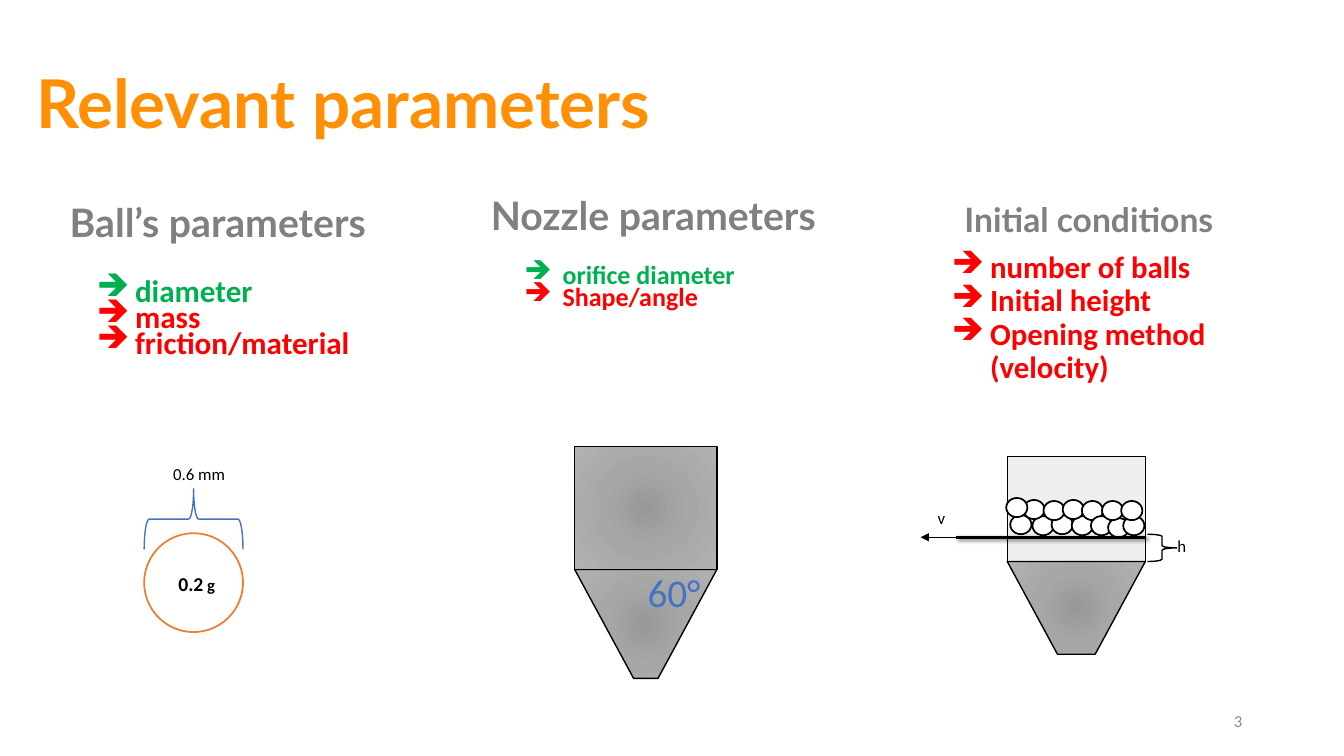
from dataclasses import dataclass

from lxml import etree
from pptx import Presentation
from pptx.dml.color import RGBColor
from pptx.enum.dml import MSO_THEME_COLOR
from pptx.enum.shapes import MSO_CONNECTOR, MSO_SHAPE
from pptx.enum.text import MSO_ANCHOR, MSO_AUTO_SIZE, PP_ALIGN
from pptx.oxml import parse_xml
from pptx.oxml.ns import qn
from pptx.util import Emu, Pt

PX = 9144
NS = 'xmlns:a="http://schemas.openxmlformats.org/drawingml/2006/main"'
LEFT, CENTER, RIGHT = PP_ALIGN.LEFT, PP_ALIGN.CENTER, PP_ALIGN.RIGHT
TOP, MIDDLE, BOTTOM = MSO_ANCHOR.TOP, MSO_ANCHOR.MIDDLE, MSO_ANCHOR.BOTTOM
RECT, OVAL = MSO_SHAPE.RECTANGLE, MSO_SHAPE.OVAL
TRAP, BRACE = MSO_SHAPE.TRAPEZOID, MSO_SHAPE.LEFT_BRACE
STRAIGHT = MSO_CONNECTOR.STRAIGHT
NO_FIT = MSO_AUTO_SIZE.NONE


@dataclass(frozen=True)
class Theme:
    """Colours, fonts and type sizes of the slide."""
    title: str = "FF8F04"
    head: str = "808080"
    page: str = "8C8C8C"
    good: str = "00B050"
    bad: str = "FF0000"
    ink: str = "000000"
    paper: str = "FFFFFF"
    ball: str = "ED7D31"
    blue: str = "4472C4"
    glass: str = "D8D8D8"
    metal: tuple = ((0, "989898"), (45, "A7A7A7"), (100, "B1B1B1"))
    show: str = "Lato"
    body: str = "Calibri"
    big: float = 48
    mid: float = 28
    label: float = 12
    mass: float = 14


T = Theme()

COLUMNS = [
    ((34, 183), "Ball’s parameters", 28, (84, 274, 264, 108), 22.2, 0.7,
     [("diameter", T.good), ("mass", T.bad), ("friction/material", T.bad)]),
    ((466, 176), "Nozzle parameters", 28, (508, 260, 264, 81), 18.6, 0.7,
     [("orifice diameter", T.good), ("Shape/angle", T.bad)]),
    ((898, 179), "Initial conditions", 24, (932, 245, 360, 102), 22, 0.9,
     [("number of balls", T.bad), ("Initial height", T.bad),
      ("Opening method (velocity)", T.bad)]),
]

BALLS = [(4, 58), (26, 59), (45, 58), (65, 59), (17, 43), (37, 44), (56, 43),
         (75, 44), (84, 59), (101, 61), (0, 41), (95, 44), (116, 59), (114, 44)]


def put(item, vals):
    """Set each named value on the item."""
    for name, val in vals.items():
        setattr(item, name, val)


def span(*lens):
    """Turn px lengths into EMU."""
    return [Emu(n * PX) for n in lens]


def write(frame, paras, align=LEFT, anchor=TOP, pad=10, space=None):
    """Fill a frame with paragraphs of (text, size, colour, bold, font) runs."""
    side, rim = span(pad, 5)
    put(frame, dict(word_wrap=True, auto_size=NO_FIT, vertical_anchor=anchor,
                    margin_left=side, margin_right=side,
                    margin_top=rim, margin_bottom=rim))
    for num, runs in enumerate(paras):
        para = frame.add_paragraph() if num else frame.paragraphs[0]
        put(para, dict(alignment=align, line_spacing=space))
        for words, size, tint, bold, face in runs:
            run = para.add_run()
            run.text = words
            put(run.font, dict(size=Pt(size), bold=bold, name=face))
            run.font.color.rgb = RGBColor.from_string(tint)


def text(slide, box, paras, **look):
    """Add a text box and return its frame."""
    frame = slide.shapes.add_textbox(*span(*box)).text_frame
    write(frame, paras, **look)
    return frame


def note(slide, box, words, align=LEFT):
    """Add a small label."""
    text(slide, box, [[(words, T.label, T.ink, False, T.body)]], align=align)


def shape(slide, kind, box, fill=None, line=T.ink, width=1.0, turn=0, adj=()):
    """Add a preset shape with plain fill and outline."""
    item = slide.shapes.add_shape(kind, *span(*box))
    item.shadow.inherit = False
    item.rotation = turn
    for num, val in enumerate(adj):
        item.adjustments[num] = val
    if fill:
        item.fill.solid()
        item.fill.fore_color.rgb = RGBColor.from_string(fill)
    else:
        item.fill.background()
    item.line.color.rgb = RGBColor.from_string(line)
    item.line.width = Pt(width)
    return item


def steel(item):
    """Give a shape a radial metal fill."""
    stops = "".join(f'<a:gs pos="{pos * 1000}"><a:srgbClr val="{tint}"/></a:gs>'
                    for pos, tint in T.metal)
    grad = parse_xml(
        f'<a:gradFill {NS} rotWithShape="1"><a:gsLst>{stops}</a:gsLst>'
        '<a:path path="circle"><a:fillToRect l="50000" t="50000" r="50000" '
        'b="50000"/></a:path></a:gradFill>')
    props = item.fill._xPr
    props.replace(props.find(qn("a:noFill")), grad)


def cone(slide, box):
    """Add a metal funnel that narrows downwards."""
    steel(shape(slide, TRAP, box, turn=180, adj=[0.541]))


def rod(slide, start, end, width, effect=""):
    """Add a straight black line with an optional effect."""
    item = slide.shapes.add_connector(STRAIGHT, *span(*start, *end))
    item.line.color.rgb = RGBColor.from_string(T.ink)
    item.line.width = Pt(width)
    item._element.spPr.append(
        parse_xml(f"<a:effectLst {NS}>{effect}</a:effectLst>"))
    return item


def column(slide, spot, head, size, box, small, space, items):
    """Add a heading and its arrow list."""
    text(slide, (*spot, 364, 81), [[(head, size, T.head, True, T.show)]],
         align=CENTER, anchor=MIDDLE, pad=0, space=0.9)
    frame = text(slide, box, [[(words, small, tint, True, T.body)]
                              for words, tint in items], pad=0, space=space)
    for para, (_, tint) in zip(frame.paragraphs, items):
        props = para._p.get_or_add_pPr()
        props.set("marL", str(50 * PX))
        props.set("indent", str(-38 * PX))
        shade = etree.SubElement(props, qn("a:buClr"))
        etree.SubElement(shade, qn("a:srgbClr")).set("val", tint)
        etree.SubElement(props, qn("a:buChar")).set("char", "➔")


def ball(slide, x, y):
    """Draw the ball with its width and mass."""
    shape(slide, OVAL, (x, y + 74, 98, 98), T.paper, T.ball, 1.25)
    shape(slide, BRACE, (x + 19, y + 11, 60, 98), line=T.blue, turn=90,
          adj=[0.083, 0.5])
    note(slide, (x + 11, y, 87, 30), "0.6 mm", CENTER)
    text(slide, (x + 24, y + 107, 95, 34),
         [[("0.2", T.mass, T.ink, True, T.body),
           (" g", T.label, T.ink, True, T.body)]])


def nozzle(slide, x, y):
    """Draw the nozzle with its angle."""
    cone(slide, (x, y + 122, 141, 108))
    steel(shape(slide, RECT, (x, y, 141, 122)))
    text(slide, (x + 57, y + 116, 83, 67),
         [[("60°", T.mid, T.blue, False, T.body)]], align=CENTER)


def hopper(slide, x, y):
    """Draw the filled hopper with its sliding gate."""
    tank = shape(slide, RECT, (x, y, 137, 104), T.glass)
    tint = tank.fill._xPr.find(qn("a:solidFill"))[0]
    etree.SubElement(tint, qn("a:alpha")).set("val", "39000")
    cone(slide, (x, y + 104, 137, 92))
    for dx, dy in BALLS:
        shape(slide, OVAL, (x - 1 + dx, y + dy, 21, 19), T.paper, width=1.25)
    gate = y + 80
    rod(slide, (x + 138, gate), (x - 51, gate), 2,
        '<a:outerShdw blurRad="38100" dist="25400" dir="2700000">'
        '<a:srgbClr val="000000"><a:alpha val="60000"/></a:srgbClr>'
        '</a:outerShdw>')
    pull = rod(slide, (x - 51, gate), (x - 86, gate), 1)
    etree.SubElement(pull.line._ln, qn("a:tailEnd")).set("type", "triangle")
    note(slide, (x - 79, y + 46, 145, 30), "v")
    shape(slide, BRACE, (x + 139, y + 77, 29, 27), turn=180, adj=[0.083, 0.5])
    note(slide, (x + 159, y + 74, 32, 30), "h")


def main():
    """Build and save the slide."""
    deck = Presentation()
    deck.slide_width, deck.slide_height = span(1333, 750)
    slide = deck.slides.add_slide(deck.slide_layouts[5])
    slide.background.fill.solid()
    slide.background.fill.fore_color.theme_color = MSO_THEME_COLOR.BACKGROUND_1
    title = slide.shapes.title
    put(title, dict(zip(("left", "top", "width", "height"),
                        span(26, 1, 1150, 145))))
    write(title.text_frame,
          [[("Relevant parameters", T.big, T.title, True, T.show)]],
          anchor=BOTTOM, space=0.85)
    for part in COLUMNS:
        column(slide, *part)
    ball(slide, 143, 455)
    nozzle(slide, 570, 443)
    hopper(slide, 999, 453)
    text(slide, (942, 695, 300, 40), [[("3", T.label, T.page, False, T.body)]],
         align=RIGHT, anchor=MIDDLE)
    deck.save("out.pptx")


if __name__ == "__main__":
    main()
